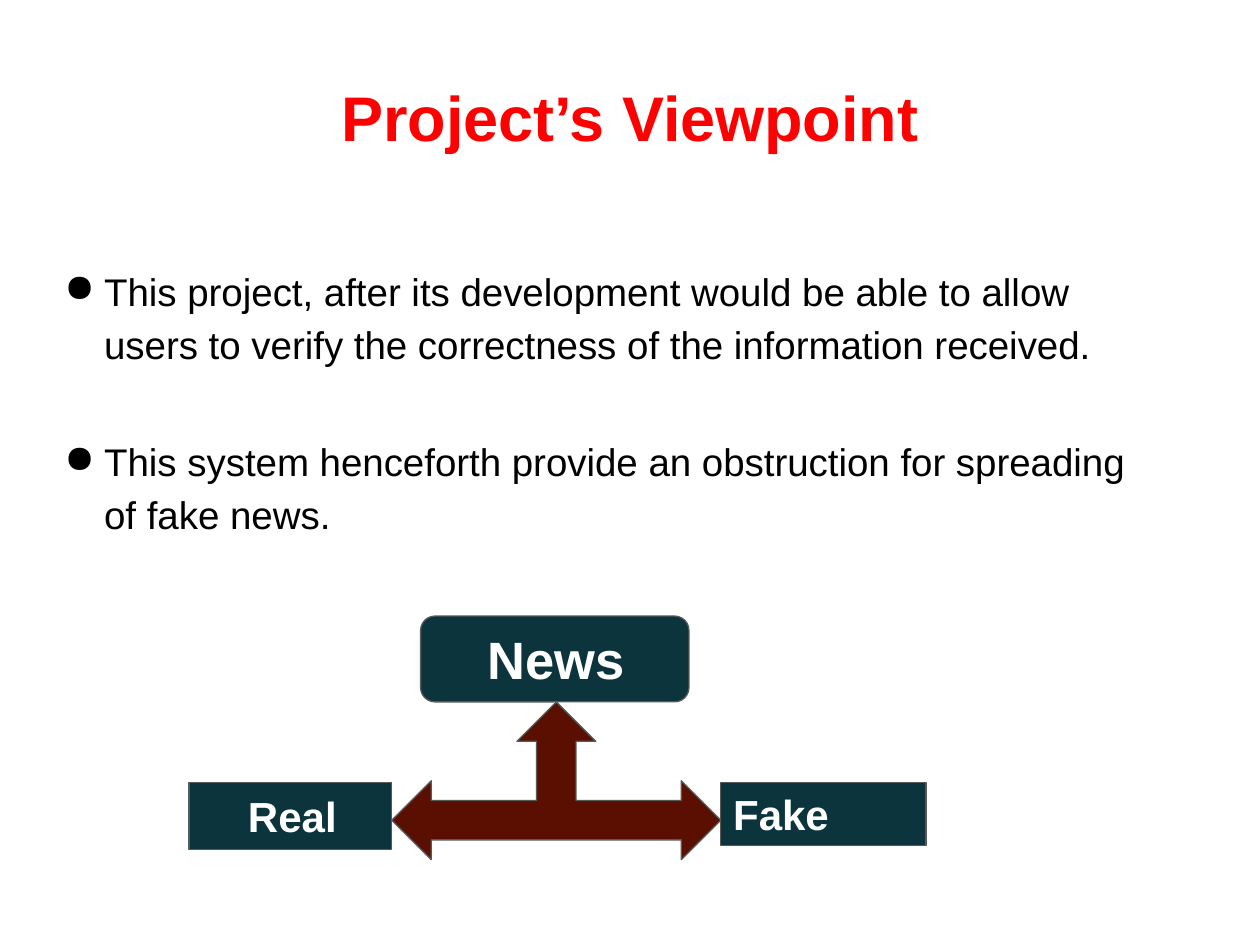
import pptx
import pptx.dml.color
import pptx.enum.shapes
import pptx.enum.text
import pptx.oxml
import pptx.oxml.ns
import pptx.util
from dataclasses import dataclass

Cm = pptx.util.Cm
Pt = pptx.util.Pt
Shapes = pptx.enum.shapes.MSO_SHAPE
Anchor = pptx.enum.text.MSO_ANCHOR
Align = pptx.enum.text.PP_ALIGN


@dataclass(frozen=True)
class Theme:
    font: str = "Arial"
    title: str = "FF0000"
    body: str = "000000"
    label: str = "FFFFFF"
    box: str = "0C343D"
    arrow: str = "5B0F00"
    outline: str = "595959"
    title_size: float = 36
    body_size: float = 22
    news_size: float = 30
    label_size: float = 24
    outline_width: float = 0.75


THEME = Theme()


def color(code):
    return pptx.dml.color.RGBColor.from_string(code)


def style_text(para, size, code, bold=False):
    for span in para.runs:
        span.font.name = THEME.font
        span.font.size = Pt(size)
        span.font.bold = bold
        span.font.color.rgb = color(code)


def add_text_box(page, left, top, width, height):
    box = page.shapes.add_textbox(Cm(left), Cm(top), Cm(width), Cm(height))
    box.text_frame.word_wrap = True
    return box.text_frame


def add_title(page, text):
    frame = add_text_box(page, 1.27, 0.76, 22.86, 3.18)
    frame.vertical_anchor = Anchor.MIDDLE
    frame.text = text
    para = frame.paragraphs[0]
    para.alignment = Align.CENTER
    style_text(para, THEME.title_size, THEME.title, bold=True)


def add_bullet(para):
    properties = para._p.get_or_add_pPr()
    properties.set("marL", str(Cm(0.96)))
    properties.set("indent", str(Cm(-0.8)))
    namespace = pptx.oxml.ns.nsdecls("a")
    for xml in (
        f'<a:buClr {namespace}><a:srgbClr val="{THEME.body}"/></a:buClr>',
        f'<a:buChar {namespace} char="●"/>',
    ):
        properties.append(pptx.oxml.parse_xml(xml))


def add_bullet_list(page, items):
    frame = add_text_box(page, 0.89, 5.13, 22.86, 6.35)
    frame.text = "\n".join(items)
    for index, para in enumerate(frame.paragraphs):
        para.line_spacing = 1.15
        para.space_before = Pt(37 if index else 0)
        add_bullet(para)
        style_text(para, THEME.body_size, THEME.body)


def add_block(page, kind, left, top, width, height, fill):
    block = page.shapes.add_shape(kind, Cm(left), Cm(top), Cm(width), Cm(height))
    block.shadow.inherit = False
    block.fill.solid()
    block.fill.fore_color.rgb = color(fill)
    block.line.color.rgb = color(THEME.outline)
    block.line.width = Pt(THEME.outline_width)
    return block


def add_label(block, text, size, indent=0):
    frame = block.text_frame
    frame.margin_left = Cm(0.25 + indent)
    frame.margin_right = frame.margin_top = frame.margin_bottom = Cm(0.25)
    frame.vertical_anchor = Anchor.MIDDLE
    frame.text = text
    para = frame.paragraphs[0]
    para.alignment = Align.LEFT
    style_text(para, size, THEME.label, bold=True)


def add_news_diagram(page):
    # Source of the split
    news = add_block(page, Shapes.ROUNDED_RECTANGLE, 8.48, 12.42, 5.41, 1.73, THEME.box)
    add_label(news, "News", THEME.news_size, indent=1.02)

    # Three-way arrow between the boxes
    arrow = add_block(page, Shapes.LEFT_RIGHT_UP_ARROW, 7.9, 14.15, 6.63, 3.18, THEME.arrow)
    for index in range(3):
        arrow.adjustments[index] = 0.25

    # Outcomes
    for text, left, width, height, indent in (
        ("Fake", 14.53, 4.14, 1.27, 0),
        ("Real", 3.81, 4.09, 1.35, 0.94),
    ):
        outcome = add_block(page, Shapes.RECTANGLE, left, 15.77, width, height, THEME.box)
        add_label(outcome, text, THEME.label_size, indent)


def main():
    deck = pptx.Presentation()
    deck.slide_width, deck.slide_height = Cm(25.4), Cm(19.05)
    page = deck.slides.add_slide(deck.slide_layouts[6])
    add_title(page, "Project’s Viewpoint")
    add_bullet_list(page, [
        "This project, after its development would be able to allow users "
        "to verify the correctness of the information received.",
        "This system henceforth provide an obstruction for spreading of fake news.",
    ])
    add_news_diagram(page)
    deck.save("out.pptx")


if __name__ == "__main__":
    main()
